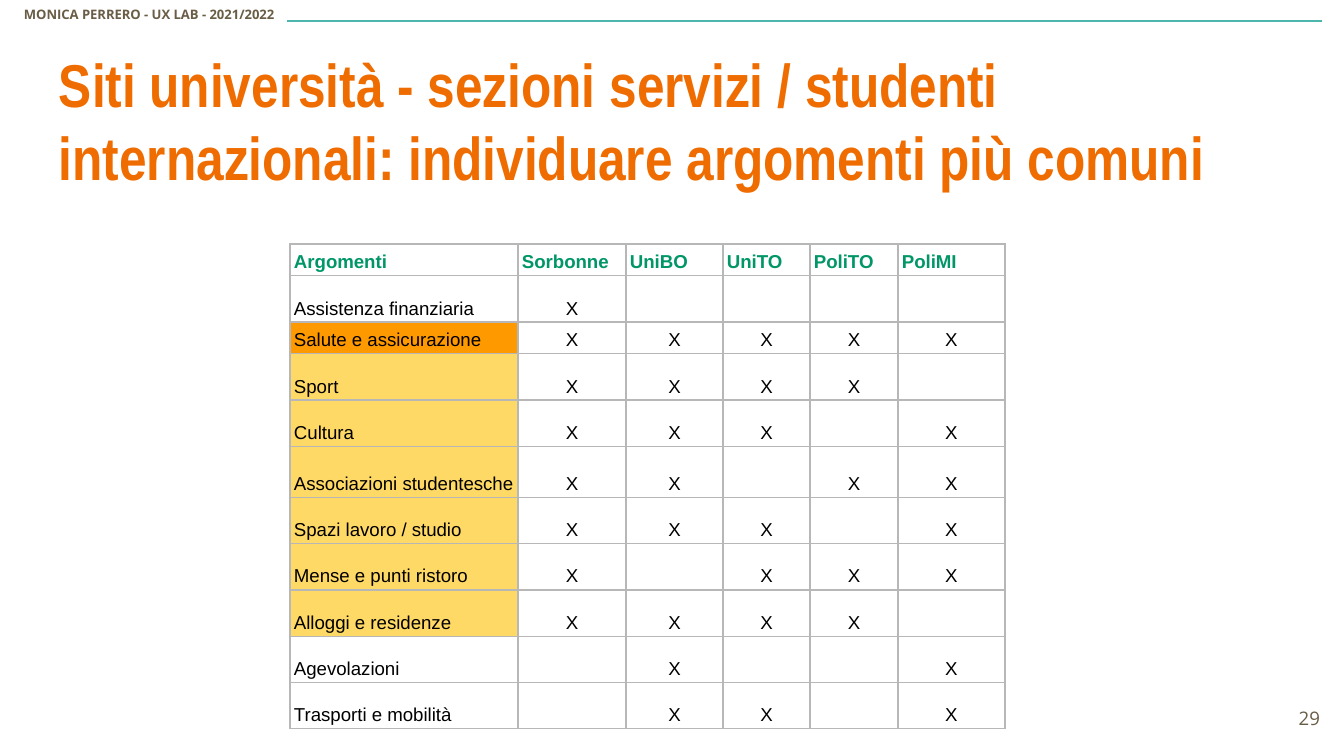
from dataclasses import dataclass

from lxml import etree
from pptx import Presentation
from pptx import util as u
from pptx.dml.color import RGBColor
from pptx.enum import shapes, text
from pptx.oxml import ns

SCALE = 914400 / 134.4  # EMU per px

BROWN = RGBColor(0x69, 0x5D, 0x46)
TEAL = RGBColor(0x4D, 0xB6, 0xAC)
ORANGE = RGBColor(0xEF, 0x6C, 0x00)
GREEN = RGBColor(0x00, 0x96, 0x68)
BLACK = RGBColor(0x00, 0x00, 0x00)
GREY = RGBColor(0xB7, 0xB7, 0xB7)
AMBER = RGBColor(0xFF, 0x99, 0x00)
YELLOW = RGBColor(0xFF, 0xD9, 0x66)

LEFT = text.PP_ALIGN.LEFT
CENTER = text.PP_ALIGN.CENTER
RIGHT = text.PP_ALIGN.RIGHT
TOP = text.MSO_ANCHOR.TOP
MIDDLE = text.MSO_ANCHOR.MIDDLE


@dataclass(frozen=True)
class Style:
    font: str
    size: float
    color: RGBColor
    bold: bool = False


@dataclass(frozen=True)
class Label:
    words: str
    box: tuple[int, int, int, int]
    style: Style
    align: text.PP_ALIGN = LEFT
    anchor: text.MSO_ANCHOR = TOP


@dataclass(frozen=True)
class Topic:
    """A table row; marks holds one character per university."""
    name: str
    marks: str
    height: int = 43
    fill: RGBColor | None = None


LABELS = [
    Label("MONICA PERRERO - UX LAB - 2021/2022", (11, -1, 329, 43),
          Style("Open Sans", 7, BROWN, True)),
    Label("29", (1253, 689, 80, 58), Style("Open Sans", 10, BROWN), RIGHT, MIDDLE),
    Label("Siti università - sezioni servizi / studenti internazionali: "
          "individuare argomenti più comuni", (46, 34, 1252, 103),
          Style("Arial Narrow", 32.4, ORANGE, True)),
]

HEADER = ["Argomenti", "Sorbonne", "UniBO", "UniTO", "PoliTO", "PoliMI"]
HEADER_HEIGHT = 30
COLUMN_WIDTHS = [228, 108, 97, 87, 88, 107]
TOPICS = [
    Topic("Assistenza finanziaria", "X    "),
    Topic("Salute e assicurazione", "XXXXX", 30, AMBER),
    Topic("Sport", "XXXX ", fill=YELLOW),
    Topic("Cultura", "XXX X", fill=YELLOW),
    Topic("Associazioni studentesche", "XX XX", 51, YELLOW),
    Topic("Spazi lavoro / studio", "XXX X", fill=YELLOW),
    Topic("Mense e punti ristoro", "X XXX", fill=YELLOW),
    Topic("Alloggi e residenze", "XXXX ", fill=YELLOW),
    Topic("Agevolazioni", " X  X"),
    Topic("Trasporti e mobilità", " XX X"),
]
HEADER_STYLE = Style("Arial", 10, GREEN, True)
BODY_STYLE = Style("Arial", 10, BLACK)


def px(length: int) -> u.Emu:
    return u.Emu(round(length * SCALE))


def add_run(paragraph, words: str, style: Style) -> None:
    run = paragraph.add_run()
    run.text = words
    run.font.name = style.font
    run.font.size = u.Pt(style.size)
    run.font.bold = style.bold
    run.font.color.rgb = style.color


def add_label(slide, label: Label) -> None:
    frame = slide.shapes.add_textbox(*map(px, label.box)).text_frame
    frame.word_wrap = True
    frame.vertical_anchor = label.anchor
    frame.margin_left = frame.margin_right = px(13)
    frame.margin_top = frame.margin_bottom = px(13)
    paragraph = frame.paragraphs[0]
    paragraph.alignment = label.align
    add_run(paragraph, label.words, label.style)


def add_header_rule(slide) -> None:
    rule = slide.shapes.add_connector(
        shapes.MSO_CONNECTOR.STRAIGHT, px(287), px(21), px(1322), px(21))
    rule.line.color.rgb = TEAL
    rule.line.width = u.Pt(0.75)
    etree.SubElement(rule._element.spPr, ns.qn("a:effectLst"))


def add_borders(cell) -> None:
    properties = cell._tc.get_or_add_tcPr()
    for position, side in enumerate(("lnL", "lnR", "lnT", "lnB")):
        line = etree.Element(ns.qn(f"a:{side}"), w=str(u.Pt(0.75)))
        fill = etree.SubElement(line, ns.qn("a:solidFill"))
        etree.SubElement(fill, ns.qn("a:srgbClr"), val=str(GREY))
        properties.insert(position, line)


def fill_cell(cell, words: str, style: Style, align: text.PP_ALIGN,
              color: RGBColor | None) -> None:
    cell.margin_left = cell.margin_right = px(4)
    cell.margin_top = cell.margin_bottom = px(3)
    cell.vertical_anchor = text.MSO_ANCHOR.BOTTOM
    if color is None:
        cell.fill.background()
    else:
        cell.fill.solid()
        cell.fill.fore_color.rgb = color
    add_borders(cell)
    if words.strip():
        paragraph = cell.text_frame.paragraphs[0]
        paragraph.alignment = align
        paragraph.line_spacing = 1.15
        add_run(paragraph, words, style)


def add_topic_table(slide) -> None:
    heights = [HEADER_HEIGHT, *(topic.height for topic in TOPICS)]
    table = slide.shapes.add_table(
        len(heights), len(HEADER), px(290), px(244),
        px(sum(COLUMN_WIDTHS)), px(sum(heights))).table
    table.first_row = table.horz_banding = False
    for column, width in zip(table.columns, COLUMN_WIDTHS):
        column.width = px(width)
    for row, height in zip(table.rows, heights):
        row.height = px(height)
    for index, name in enumerate(HEADER):
        fill_cell(table.cell(0, index), name, HEADER_STYLE, LEFT, None)
    for row, topic in enumerate(TOPICS, 1):
        fill_cell(table.cell(row, 0), topic.name, BODY_STYLE, LEFT, topic.fill)
        for column, mark in enumerate(topic.marks, 1):
            fill_cell(table.cell(row, column), mark, BODY_STYLE, CENTER, None)


def main() -> None:
    presentation = Presentation()
    presentation.slide_width = px(1344)
    presentation.slide_height = px(756)
    slide = presentation.slides.add_slide(presentation.slide_layouts[6])
    add_header_rule(slide)
    for label in LABELS:
        add_label(slide, label)
    add_topic_table(slide)
    presentation.save("out.pptx")


if __name__ == "__main__":
    main()
